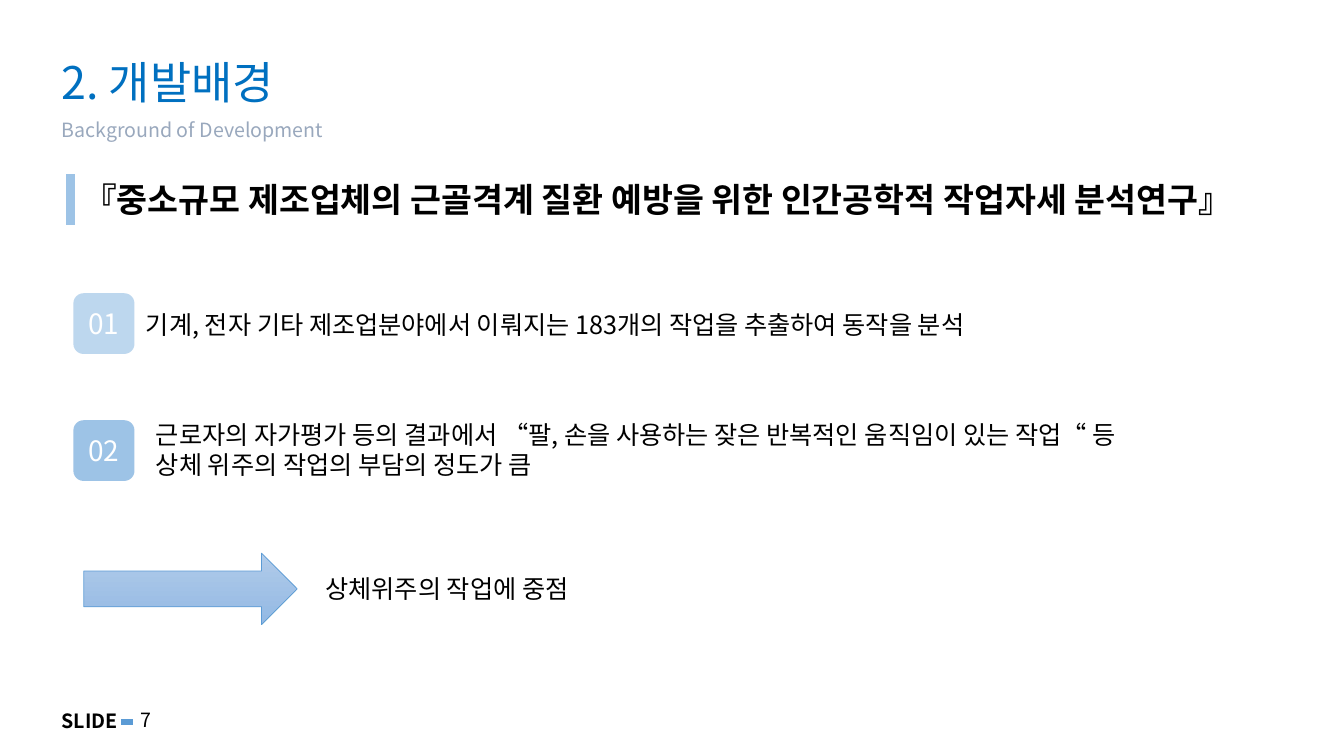
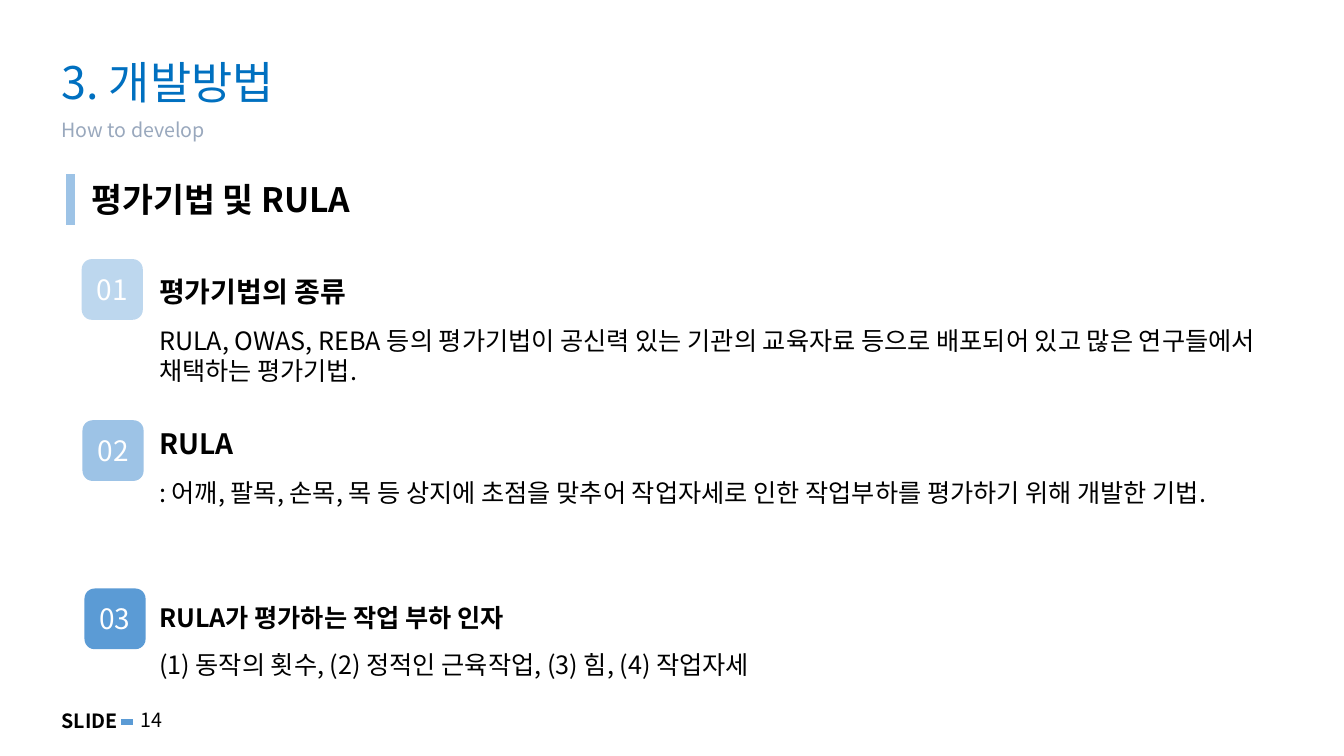
from dataclasses import dataclass

from lxml import etree
from pptx import Presentation
from pptx.dml.color import RGBColor
from pptx.enum.shapes import MSO_CONNECTOR, MSO_SHAPE
from pptx.enum.text import MSO_ANCHOR, PP_ALIGN
from pptx.oxml.ns import qn
from pptx.util import Cm, Pt

LINE = MSO_CONNECTOR.STRAIGHT
ROUND = MSO_SHAPE.ROUNDED_RECTANGLE
ARROW = MSO_SHAPE.RIGHT_ARROW
TOP, MID = MSO_ANCHOR.TOP, MSO_ANCHOR.MIDDLE
LEFT, MIDST = PP_ALIGN.LEFT, PP_ALIGN.CENTER


@dataclass(frozen=True)
class Theme:
    font: str = "Noto Sans CJK KR"
    ink: str = "000000"
    white: str = "FFFFFF"
    title: str = "0070C0"
    muted: str = "99A8BD"
    pale: str = "BDD7EE"
    soft: str = "9DC3E6"
    strong: str = "5B9BD5"
    fade: tuple = ("B1CBE9", "93B9E4")
    huge: int = 32
    head: int = 24
    large: int = 20
    body: int = 18
    small: int = 14
    lead: float = 1.19  # line height per point of type
    gap: int = 12       # space between a topic and its text


T = Theme()
TONES = (T.pale, T.soft, T.strong)


def rgb(code):
    return RGBColor.from_string(code)


# Text
def write(frame, lines, anchor=TOP, align=LEFT, gap=0):
    """Each line is (text, size, colour, bold)."""
    frame.word_wrap = True
    frame.vertical_anchor = anchor
    for i, (text, size, color, bold) in enumerate(lines):
        para = frame.add_paragraph() if i else frame.paragraphs[0]
        para.alignment = align
        para.line_spacing = Pt(size * T.lead)
        if i:
            para.space_before = Pt(gap)
        run = para.add_run()
        run.text = text
        font = run.font
        font.size, font.bold, font.name = Pt(size), bold, T.font
        font.color.rgb = rgb(color)
        east = etree.SubElement(run._r.get_or_add_rPr(), qn("a:ea"))
        east.set("typeface", T.font)


def label(slide, box, *lines, **style):
    shape = slide.shapes.add_textbox(*map(Cm, box))
    write(shape.text_frame, lines, **style)


def plain(text):
    return text, T.body, T.ink, False


def topic(slide, box, name, text, size=T.large):
    label(slide, box, (name, size, T.ink, True), plain(text), gap=T.gap)


# Shapes
def rule(slide, ends, color, width):
    line = slide.shapes.add_connector(LINE, *map(Cm, ends))
    line.line.color.rgb = rgb(color)
    line.line.width = Pt(width)
    etree.SubElement(line._element.spPr, qn("a:effectLst"))


def badges(slide, spots):
    for i, (x, y) in enumerate(spots):
        shape = slide.shapes.add_shape(ROUND, Cm(x), Cm(y), Cm(1.54), Cm(1.53))
        shape.shadow.inherit = False
        shape.fill.solid()
        shape.fill.fore_color.rgb = rgb(TONES[i])
        shape.line.fill.background()
        frame = shape.text_frame
        frame.margin_left = frame.margin_right = 0
        write(frame, [(f"{i + 1:02}", T.large, T.white, False)], MID, MIDST)


def arrow(slide, box):
    shape = slide.shapes.add_shape(ARROW, *map(Cm, box))
    shape.shadow.inherit = False
    shape.fill.gradient()
    shape.fill.gradient_angle = 270
    for stop, color in zip(shape.fill.gradient_stops, T.fade):
        stop.color.rgb = rgb(color)
    shape.line.color.rgb = rgb(T.strong)
    shape.line.width = Pt(0.5)


# Parts every slide shares: footer, title, subtitle, headline
def start(deck, page, title, sub, head, left):
    slide = deck.slides.add_slide(deck.slide_layouts[6])
    label(slide, (3.3, 17.73, 1.8, 0.86), (page, T.small, T.ink, False))
    label(slide, (1.3, 17.75, 2.08, 0.86), ("SLIDE", T.small, T.ink, True))
    rule(slide, (3.05, 18.19, 3.35, 18.19), T.strong, 4.5)
    label(slide, (1.3, 1.27, 31.55, 1.57),
          (title, T.huge, T.title, False), anchor=MID)
    label(slide, (1.3, 2.84, 31.55, 1.22), (sub, T.small, T.muted, False))
    label(slide, (left, 4.39, 31.55, 1.27), (head, T.head, T.ink, True))
    rule(slide, (1.78, 4.39, 1.78, 5.66), T.soft, 6)
    return slide


def reason(deck):
    slide = start(deck, "7", "2. 개발배경", "Background of Development",
                  "『중소규모 제조업체의 근골격계 질환 예방을 위한 "
                  "인간공학적 작업자세 분석연구』", 1.85)
    badges(slide, [(1.85, 7.39), (1.85, 10.59)])
    label(slide, (3.43, 7.67, 25.98, 1.02),
          plain("기계, 전자 기타 제조업분야에서 이뤄지는 "
                "183개의 작업을 추출하여 동작을 분석"))
    label(slide, (3.68, 10.46, 28.58, 1.8),
          plain("근로자의 자가평가 등의 결과에서 “팔, 손을 사용하는 "
                "잦은 반복적인 움직임이 있는 작업“ 등"),
          plain("상체 위주의 작업의 부담의 정도가 큼"))
    arrow(slide, (2.11, 13.94, 5.38, 1.8))
    label(slide, (7.95, 14.33, 18.77, 1.02), plain("상체위주의 작업에 중점"))


def method(deck):
    slide = start(deck, "14", "3. 개발방법", "How to develop",
                  "평가기법 및 RULA", 2.06)
    badges(slide, [(2.06, 6.53), (2.08, 10.59), (2.13, 14.83)])
    topic(slide, (3.76, 6.81, 28.17, 3.84), "평가기법의 종류",
          "RULA, OWAS, REBA 등의 평가기법이 공신력 있는 기관의 교육자료 "
          "등으로 배포되어 있고 많은 연구들에서 채택하는 평가기법.")
    topic(slide, (3.76, 10.64, 28.83, 3.07), "RULA",
          ": 어깨, 팔목, 손목, 목 등 상지에 초점을 맞추어 작업자세로 "
          "인한 작업부하를 평가하기 위해 개발한 기법.")
    topic(slide, (3.76, 15.06, 20.88, 2.24), "RULA가 평가하는 작업 부하 인자",
          "(1) 동작의 횟수, (2) 정적인 근육작업, (3) 힘, (4) 작업자세", T.body)


def main():
    deck = Presentation()
    deck.slide_width, deck.slide_height = Cm(33.87), Cm(19.05)
    reason(deck)
    method(deck)
    deck.save("out.pptx")


if __name__ == "__main__":
    main()
